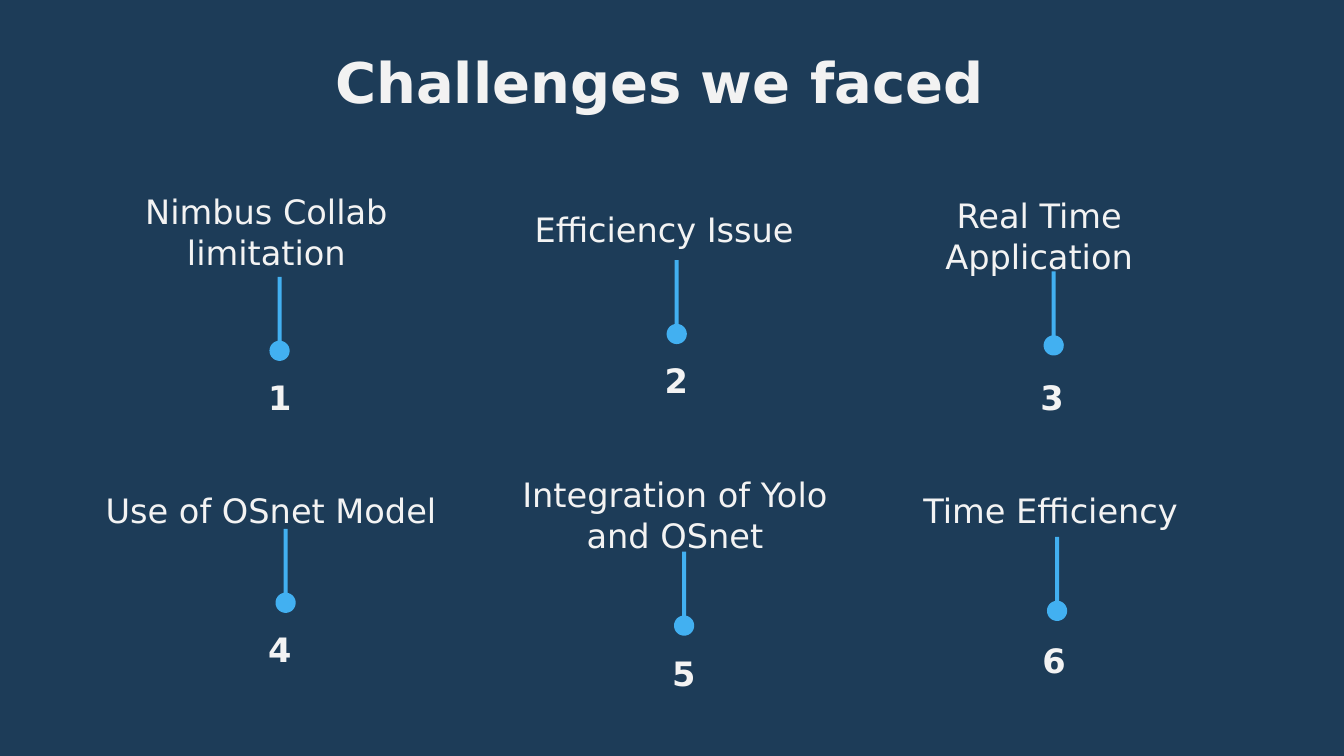
from dataclasses import dataclass
from math import asin, cos, pi, sin

from pptx import Presentation
from pptx.dml.color import RGBColor
from pptx.enum.text import MSO_ANCHOR, PP_ALIGN
from pptx.util import Inches, Pt

NAVY = RGBColor(0x1D, 0x3C, 0x58)
SKY = RGBColor(0x42, 0xB0, 0xF1)
TITLE_WHITE = RGBColor(0xF2, 0xF2, 0xF2)
BODY_WHITE = RGBColor(0xF3, 0xF3, 0xF3)
TOP = MSO_ANCHOR.TOP
MIDDLE = MSO_ANCHOR.MIDDLE
CENTER = PP_ALIGN.CENTER
FONT = "DejaVu Sans"

LABEL_SIZE = (5.41, 1.25)
NUMBER_SIZE = (1.19, 1.11)
PIN_HEIGHT = 1.25
DOT_RADIUS = 0.15
STEM_HALF_WIDTH = 0.03
ARC_STEPS = 36


@dataclass(frozen=True)
class Challenge:
    label: str
    label_at: tuple[float, float]
    number_at: tuple[float, float]
    pin_at: tuple[float, float]


CHALLENGES = [
    Challenge("Nimbus Collab limitation", (1.26, 2.82), (3.57, 5.35), (4.16, 4.12)),
    Challenge("Efficiency Issue", (7.18, 2.79), (9.47, 5.1), (10.07, 3.87)),
    Challenge("Real Time Application", (12.76, 2.88), (15.06, 5.35), (15.68, 4.04)),
    Challenge("Use of OSnet Model", (1.33, 6.96), (3.57, 9.1), (4.25, 7.87)),
    Challenge("Integration of Yolo and OSnet", (7.34, 7.03), (9.58, 9.46), (10.18, 8.21)),
    Challenge("Time Efficiency", (12.93, 6.96), (15.09, 9.27), (15.73, 7.99)),
]


def add_text(slide, text: str, at: tuple[float, float], size: tuple[float, float], *,
             points: int = 36, color: RGBColor = BODY_WHITE, bold: bool = False,
             anchor: MSO_ANCHOR = MIDDLE, inset: float = 0, space_after: int = 0) -> None:
    box = slide.shapes.add_textbox(*map(Inches, at + size))
    frame = box.text_frame
    frame.word_wrap = True
    frame.vertical_anchor = anchor
    frame.margin_left = frame.margin_right = Inches(inset)
    frame.margin_top = frame.margin_bottom = Inches(inset)
    paragraph = frame.paragraphs[0]
    paragraph.alignment = CENTER
    paragraph.space_after = Pt(space_after)
    run = paragraph.add_run()
    run.text = text
    run.font.name = FONT
    run.font.size = Pt(points)
    run.font.bold = bold
    run.font.color.rgb = color


def add_pin(slide, at: tuple[float, float]) -> None:
    x, top = at
    dot_y = top + PIN_HEIGHT - DOT_RADIUS
    gap = asin(STEM_HALF_WIDTH / DOT_RADIUS)
    angles = [gap + (2 * pi - 2 * gap) * step / ARC_STEPS for step in range(ARC_STEPS + 1)]
    outline = [(x + DOT_RADIUS * sin(angle), dot_y - DOT_RADIUS * cos(angle)) for angle in angles]
    outline.append((x - STEM_HALF_WIDTH, top))
    builder = slide.shapes.build_freeform(Inches(x + STEM_HALF_WIDTH), Inches(top))
    builder.add_line_segments([(Inches(px), Inches(py)) for px, py in outline], close=True)
    pin = builder.convert_to_shape()
    pin.shadow.inherit = False
    pin.fill.solid()
    pin.fill.fore_color.rgb = SKY
    pin.line.fill.background()


def main() -> None:
    deck = Presentation()
    deck.slide_width = Inches(20)
    deck.slide_height = Inches(11.25)
    slide = deck.slides.add_slide(deck.slide_layouts[6])
    slide.background.fill.solid()
    slide.background.fill.fore_color.rgb = NAVY

    add_text(slide, "Challenges we faced", (1.39, 0.5), (16.85, 1.25),
             points=60, color=TITLE_WHITE, bold=True, anchor=TOP, inset=0.2)
    for number, challenge in enumerate(CHALLENGES, start=1):
        add_text(slide, challenge.label, challenge.label_at, LABEL_SIZE, inset=0.2, space_after=32)
        add_text(slide, str(number), challenge.number_at, NUMBER_SIZE, bold=True)
        add_pin(slide, challenge.pin_at)

    deck.save("out.pptx")


if __name__ == "__main__":
    main()
